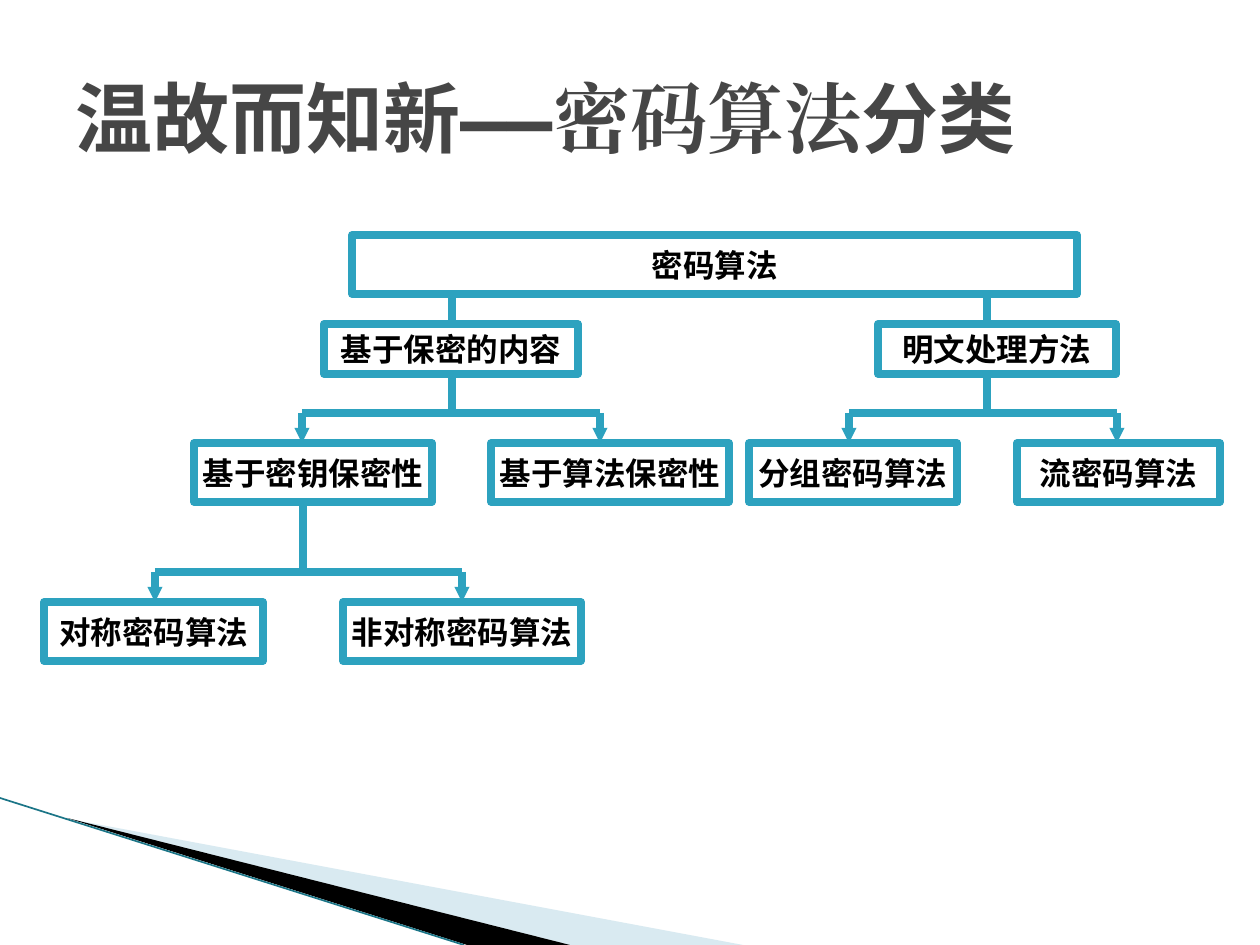
from lxml import etree
from pptx import Presentation
from pptx.dml.color import RGBColor
from pptx.enum.shapes import MSO_CONNECTOR, MSO_SHAPE
from pptx.enum.text import MSO_ANCHOR, PP_ALIGN
from pptx.oxml.ns import qn
from pptx.util import Pt

PX = 914400 / 126
RECTANGLE, STRAIGHT = MSO_SHAPE.RECTANGLE, MSO_CONNECTOR.STRAIGHT
MIDDLE, CENTER = MSO_ANCHOR.MIDDLE, PP_ALIGN.CENTER
SANS, SERIF = "Noto Sans Mono", "Times New Roman"
TEAL, WHITE, BLACK, GRAY = "2DA2BF", "FFFFFF", "000000", "464646"
PALE, DARK_TEAL = "A0CBDC", "1B7587"
LINE_WIDTH = 4.33


def emu(*lengths):
    return [round(length * PX) for length in lengths]


def color(value):
    return RGBColor.from_string(value)


def format_span(span, size, font_name, tint):
    span.font.size, span.font.bold = Pt(size), True
    span.font.name = font_name
    span.font.color.rgb = color(tint)
    east_asian = etree.SubElement(span.font._element, qn("a:ea"))
    east_asian.set("typeface", font_name)


def add_line(page, start, end, tint=TEAL, width=LINE_WIDTH, arrow=False):
    line = page.shapes.add_connector(STRAIGHT, *emu(*start, *end))
    line.line.color.rgb = color(tint)
    line.line.width = Pt(width)
    if arrow:
        tail = etree.SubElement(line.line._get_or_add_ln(), qn("a:tailEnd"))
        for key, value in (("type", "triangle"), ("w", "sm"), ("len", "sm")):
            tail.set(key, value)
    etree.SubElement(line._element.spPr, qn("a:effectLst"))


def add_node(page, text, left, top, width, height):
    box = page.shapes.add_shape(RECTANGLE, *emu(left, top, width, height))
    box.shadow.inherit = False
    box.fill.solid()
    box.fill.fore_color.rgb = color(WHITE)
    box.line.color.rgb = color(TEAL)
    box.line.width = Pt(LINE_WIDTH)
    etree.SubElement(box.line._get_or_add_ln(), qn("a:round"))
    frame = box.text_frame
    frame.word_wrap = False
    frame.vertical_anchor = MIDDLE
    frame.text = text
    para = frame.paragraphs[0]
    para.alignment = CENTER
    format_span(para.runs[0], 18, SANS, BLACK)


def add_branch(page, stem, top, bar, bottom, targets):
    """Stem down to a bar, with an arrow from the bar to each target."""
    add_line(page, (stem, top), (stem, bar))
    add_line(page, (targets[0], bar), (targets[-1], bar))
    for target in targets:
        add_line(page, (target, bar), (target, bottom), arrow=True)


def add_wedge(page, points, tint, alpha=None):
    first, *rest = [emu(*point) for point in points]
    builder = page.shapes.build_freeform(*first, scale=1.0)
    builder.add_line_segments(rest, close=True)
    wedge = builder.convert_to_shape()
    wedge.shadow.inherit = False
    wedge.fill.solid()
    wedge.fill.fore_color.rgb = color(tint)
    wedge.line.fill.background()
    if alpha:
        tint_element = wedge._element.spPr.find(".//" + qn("a:srgbClr"))
        etree.SubElement(tint_element, qn("a:alpha")).set("val", str(alpha * 1000))


def add_corner(page, top, bottom):
    """Decorative wedges in the lower left corner."""
    add_wedge(page, [(69, top + 21), (743, bottom), (570, bottom)], PALE, 40)
    add_wedge(page, [(67, top + 20), (570, bottom), (467, bottom)], BLACK)
    add_line(page, (0, top), (464, bottom), DARK_TEAL, 0.95)


def add_title(page, left, top, width, height):
    box = page.shapes.add_textbox(*emu(left, top, width, height))
    frame = box.text_frame
    frame.word_wrap = True
    frame.vertical_anchor = MIDDLE
    para = frame.paragraphs[0]
    for text, font_name in (("温故而知新——", SANS), ("密码算法", SERIF), ("分类", SANS)):
        span = para.add_run()
        span.text = text
        format_span(span, 44, font_name, GRAY)


def add_tree(page, left, top):
    """Classification tree; each row is (top, height, nodes)."""
    rows = [
        (0, 59, [("密码算法", 308, 725)]),
        (89, 50, [("基于保密的内容", 280, 254), ("明文处理方法", 834, 238)]),
        (208, 59, [("基于密钥保密性", 150, 238), ("基于算法保密性", 447, 238),
                   ("分组密码算法", 705, 208), ("流密码算法", 973, 203)]),
        (367, 59, [("对称密码算法", 0, 219), ("非对称密码算法", 299, 238)]),
    ]
    # Stem x, stem top, bar y, arrow tip y, arrow x positions
    branches = [
        (408, 59, 178, 208, (258, 556)),
        (943, 59, 178, 208, (805, 1073)),
        (259, 267, 337, 367, (111, 418)),
    ]
    for stem, start, bar, tip, targets in branches:
        add_branch(page, left + stem, top + start, top + bar, top + tip,
                   [left + target for target in targets])
    for offset, height, nodes in rows:
        for text, x, width in nodes:
            add_node(page, text, left + x, top + offset, width, height)


def main():
    deck = Presentation()
    deck.slide_width, deck.slide_height = emu(1260, 945)
    page = deck.slides.add_slide(deck.slide_layouts[6])
    add_corner(page, 798, 945)
    add_title(page, 63, 38, 1134, 158)
    add_tree(page, 44, 235)
    deck.save("out.pptx")


if __name__ == "__main__":
    main()
